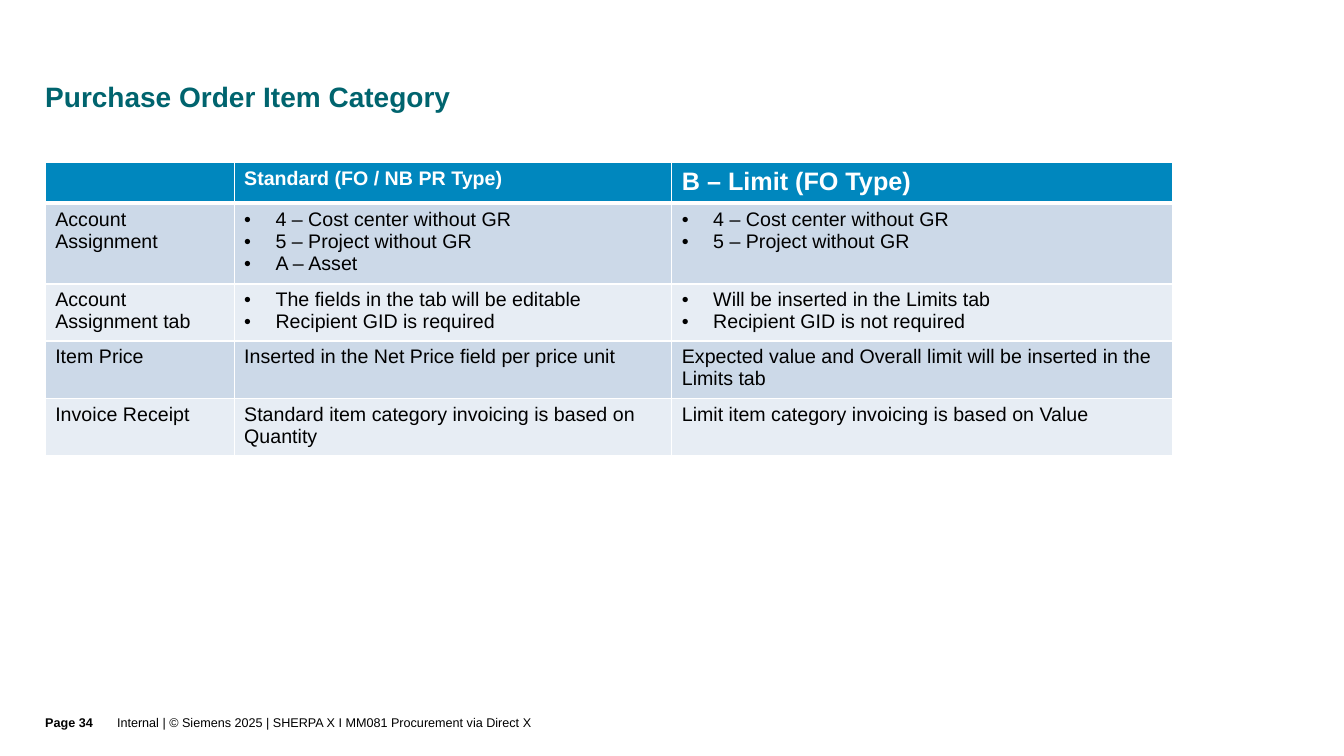
"""Build the slide that compares purchase order item categories."""
from lxml import etree
from pptx import Presentation
from pptx.dml.color import RGBColor
from pptx.enum.text import MSO_ANCHOR
from pptx.oxml.ns import qn
from pptx.util import Cm, Pt

BOTTOM, MIDDLE = MSO_ANCHOR.BOTTOM, MSO_ANCHOR.MIDDLE

TITLE = "Purchase Order Item Category"
PAGE = "Page 34"
FOOTER = "Internal | © Siemens 2025 | SHERPA X I MM081 Procurement via Direct X"
HEADER = ["", "Standard (FO / NB PR Type)", "B – Limit (FO Type)"]
ROWS = [
    ["Account Assignment",
     ("4 – Cost center without GR", "5 – Project without GR", "A – Asset"),
     ("4 – Cost center without GR", "5 – Project without GR")],
    ["Account Assignment tab",
     ("The fields in the tab will be editable", "Recipient GID is required"),
     ("Will be inserted in the Limits tab", "Recipient GID is not required")],
    ["Item Price",
     "Inserted in the Net Price field per price unit",
     "Expected value and Overall limit will be inserted in the Limits tab"],
    ["Invoice Receipt",
     "Standard item category invoicing is based on Quantity",
     "Limit item category invoicing is based on Value"],
]

THEME = {
    "font": "Arial", "title": "00646E", "text": "000000", "white": "FFFFFF",
    "header": "0087BE", "bands": ("CCD9E8", "E7EDF4"),
    "title_size": 20, "body_size": 14, "header_sizes": (18, 14, 18), "footer_size": 9,
}
LEFT = 1.14
COLUMN_WIDTHS = (4.76, 11.03, 12.62)
TABLE_TOP, ROW_HEIGHT = 4.09, 1.03
FOOTER_TOP, FOOTER_HEIGHT, PAGE_WIDTH = 17.53, 1.52, 1.81
CONTENT_WIDTH = 27.41
BULLET_INDENT = 0.79


def add_bullet(paragraph):
    """Give a paragraph a round bullet with a hanging indent."""
    properties = paragraph._p.get_or_add_pPr()
    properties.set("marL", str(Cm(BULLET_INDENT)))
    properties.set("indent", str(-Cm(BULLET_INDENT)))
    etree.SubElement(properties, qn("a:buFont"), typeface=THEME["font"])
    etree.SubElement(properties, qn("a:buChar"), char="•")


def write_text(frame, content, size, color=THEME["text"], bold=False, spacing=None):
    """Write a string as one paragraph, or a tuple as bullets."""
    bulleted = isinstance(content, tuple)
    for index, line in enumerate(content if bulleted else (content,)):
        paragraph = frame.add_paragraph() if index else frame.paragraphs[0]
        if bulleted:
            add_bullet(paragraph)
        if spacing:
            paragraph.line_spacing = spacing
        paragraph.font.size = Pt(size)
        if not line:
            continue
        run = paragraph.add_run()
        run.text = line
        run.font.name = THEME["font"]
        run.font.size = Pt(size)
        run.font.bold = bold
        run.font.color.rgb = RGBColor.from_string(color)


def add_text_box(slide, content, box, anchor, margins, **text_format):
    """Add a wrapped text box with right and bottom margins."""
    frame = slide.shapes.add_textbox(*map(Cm, box)).text_frame
    frame.word_wrap = True
    frame.vertical_anchor = anchor
    frame.margin_left = frame.margin_top = 0
    frame.margin_right, frame.margin_bottom = map(Cm, margins)
    write_text(frame, content, **text_format)


def style_cell(cell, fill, top=1, bottom=1):
    """Set the white borders and the fill of a cell."""
    properties = cell._tc.get_or_add_tcPr()
    for side, width in (("L", 1), ("R", 1), ("T", top), ("B", bottom)):
        line = etree.SubElement(properties, qn(f"a:ln{side}"), w=str(Pt(width)))
        solid = etree.SubElement(line, qn("a:solidFill"))
        etree.SubElement(solid, qn("a:srgbClr"), val=THEME["white"])
    cell.fill.solid()
    cell.fill.fore_color.rgb = RGBColor.from_string(fill)


def add_category_table(slide):
    """Add the comparison table with its header and banded rows."""
    table = slide.shapes.add_table(
        len(ROWS) + 1, len(HEADER), Cm(LEFT), Cm(TABLE_TOP),
        Cm(sum(COLUMN_WIDTHS)), Cm(ROW_HEIGHT * (len(ROWS) + 1))).table
    for column, width in zip(table.columns, COLUMN_WIDTHS):
        column.width = Cm(width)
    for index, (content, size) in enumerate(zip(HEADER, THEME["header_sizes"])):
        cell = table.cell(0, index)
        style_cell(cell, THEME["header"], bottom=3)
        write_text(cell.text_frame, content, size, THEME["white"], bold=True)
    for row_index, row in enumerate(ROWS, 1):
        band = THEME["bands"][(row_index - 1) % 2]
        for column_index, content in enumerate(row):
            cell = table.cell(row_index, column_index)
            style_cell(cell, band, top=3 if row_index == 1 else 1)
            write_text(cell.text_frame, content, THEME["body_size"])


def main():
    """Create and save the presentation."""
    presentation = Presentation()
    presentation.slide_width, presentation.slide_height = Cm(33.87), Cm(19.05)
    slide = presentation.slides.add_slide(presentation.slide_layouts[6])
    add_text_box(slide, TITLE, (LEFT, 1.32, CONTENT_WIDTH, 1.6), BOTTOM, (0.89, 0.05),
                 size=THEME["title_size"], color=THEME["title"], bold=True, spacing=0.9)
    add_category_table(slide)
    footer_left = LEFT + PAGE_WIDTH
    footer_width = CONTENT_WIDTH - PAGE_WIDTH
    for content, left, width, bold in ((PAGE, LEFT, PAGE_WIDTH, True),
                                       (FOOTER, footer_left, footer_width, False)):
        add_text_box(slide, content, (left, FOOTER_TOP, width, FOOTER_HEIGHT), MIDDLE,
                     (0, 0.18), size=THEME["footer_size"], bold=bold)
    presentation.save("out.pptx")


if __name__ == "__main__":
    main()
